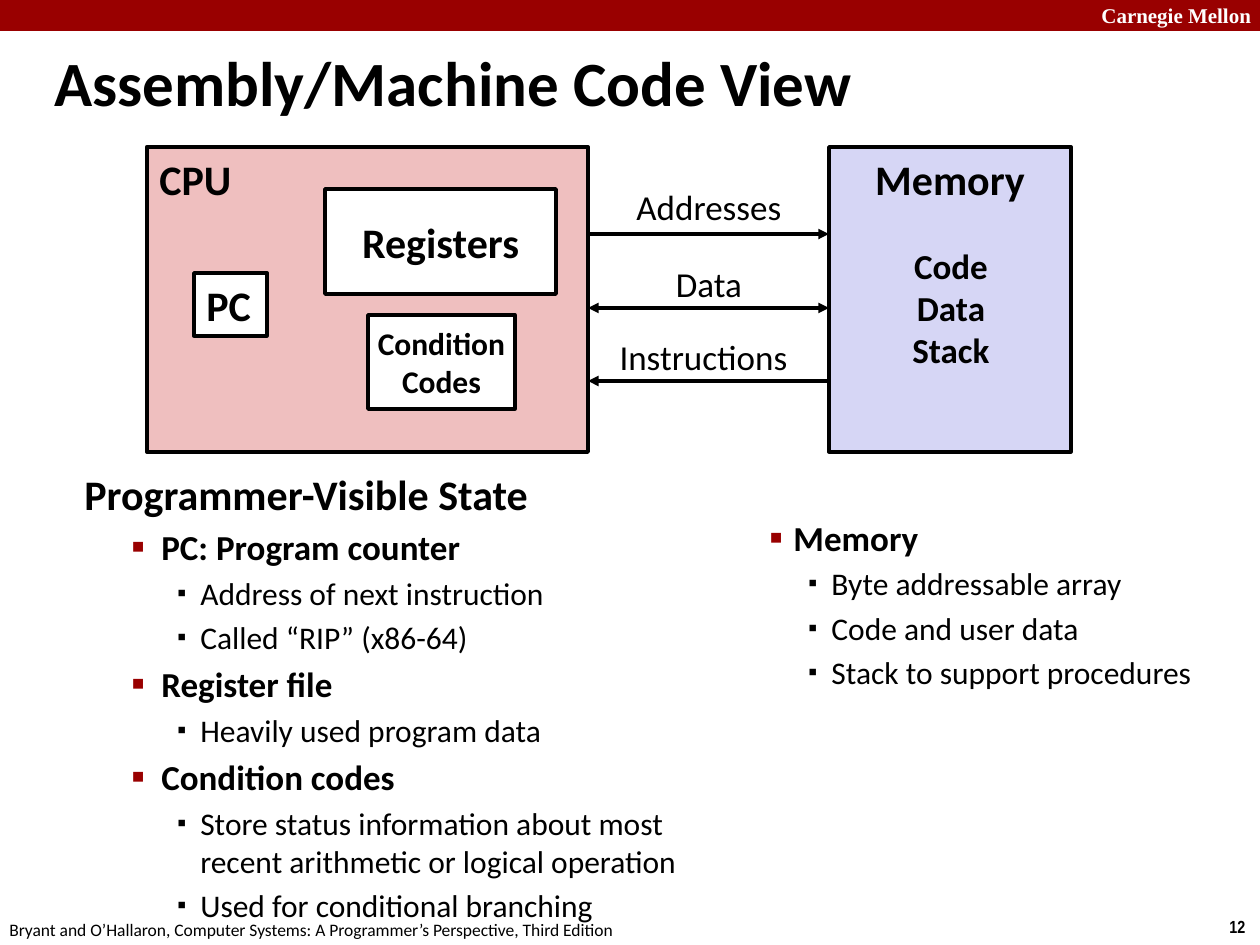
"""Build the slide on the assembly and machine code view of a computer."""
import pptx
import pptx.util
import pptx.dml.color
import pptx.enum.shapes
import pptx.enum.text
import pptx.oxml
import pptx.oxml.ns

HUE = {"ink": "000000", "paper": "FFFFFF", "brand": "990000", "cpu": "EFBFBF", "mem": "D6D6F5"}
FONT = "Calibri"
TITLE = "Assembly/Machine Code View"
BAR = (0, 0, 1260, 31)

BOXES = [
    ("cpu", (147, 147, 441, 305), "cpu", 2.25, ["CPU"], 24, "left", "top"),
    ("pc", (194, 273, 73, 63), "paper", 2, ["PC"], 24, "left", "middle"),
    ("regs", (325, 189, 231, 105), "paper", 2, ["Registers"], 24, "center", "middle"),
    ("mem", (829, 147, 242, 305), "mem", 2, ["Memory"], 24, "center", "top"),
    ("flags", (368, 315, 147, 94), "paper", 2, ["Condition", "Codes"], 18, "center", "middle"),
]
BUSES = [
    ("Addresses", 179, 242, 234, ("tailEnd",)),
    ("Data", 256, 242, 308, ("headEnd", "tailEnd")),
    ("Instructions", 329, 231, 381, ("headEnd",)),
]
NOTES = [
    ("Carnegie Mellon", (1089, -4, 180, 38), "Times New Roman", 12, "paper", True, True),
    ("12", (1217, 910, 43, 34), "Arial Narrow", 10, "ink", True, False),
    ("Bryant and O’Hallaron, Computer Systems: A Programmer’s Perspective, Third Edition",
     (-3, 913, 640, 34), FONT, 10, "ink", False, False),
]
STATE = [
    (0, "Programmer-Visible State"),
    (1, "PC: Program counter"),
    (2, "Address of next instruction"),
    (2, "Called “RIP” (x86-64)"),
    (1, "Register file"),
    (2, "Heavily used program data"),
    (1, "Condition codes"),
    (2, "Store status information about most recent arithmetic or logical operation"),
    (2, "Used for conditional branching"),
]
STORE = [
    (1, "Memory"),
    (2, "Byte addressable array"),
    (2, "Code and user data"),
    (2, "Stack to support procedures"),
]
LISTS = [
    (STATE, (72, 462, 669, 426), {1: (77, 30), 2: (116, 23)}),
    (STORE, (741, 510, 499, 217), {1: (40, 24), 2: (78, 23)}),
]
SIZES = {0: 24, 1: 20, 2: 18}
BULLETS = {1: ("brand", 110), 2: ("ink", 80)}


def px(n):
    return round(n * 914400 / 126)


def rgb(name):
    return pptx.dml.color.RGBColor.from_string(HUE[name])


def node(home, tag, **attrs):
    item = pptx.oxml.ns.qn("a:" + tag)
    child = home.makeelement(item, attrs)
    home.append(child)
    return child


def write(para, text, size, bold=False, font=FONT, hue="ink"):
    run = para.add_run()
    run.text = text
    run.font.name = font
    run.font.size = pptx.util.Pt(size)
    run.font.bold = bold
    run.font.color.rgb = rgb(hue)


def fill(frame, lines, size, align="left", anchor="top", wrap=True, **style):
    frame.word_wrap = wrap
    frame.auto_size = pptx.enum.text.MSO_AUTO_SIZE.NONE
    frame.vertical_anchor = pptx.enum.text.MSO_ANCHOR[anchor.upper()]
    for i, line in enumerate(lines):
        para = frame.add_paragraph() if i else frame.paragraphs[0]
        para.alignment = pptx.enum.text.PP_ALIGN[align.upper()]
        write(para, line, size, **style)


def rect(slide, spot, hue, width=None):
    kind = pptx.enum.shapes.MSO_SHAPE.RECTANGLE
    box = slide.shapes.add_shape(kind, *map(px, spot))
    box.shadow.inherit = False
    box.fill.solid()
    box.fill.fore_color.rgb = rgb(hue)
    if width:
        box.line.color.rgb = rgb("ink")
        box.line.width = pptx.util.Pt(width)
    else:
        box.line.fill.background()
    return box


def label(slide, spot, *args, **style):
    box = slide.shapes.add_textbox(*map(px, spot))
    fill(box.text_frame, *args, **style)


def arrow(slide, start, stop, y, ends):
    kind = pptx.enum.shapes.MSO_CONNECTOR.STRAIGHT
    line = slide.shapes.add_connector(kind, px(start), px(y), px(stop), px(y))
    line.line.color.rgb = rgb("ink")
    line.line.width = pptx.util.Pt(2)
    for end in ends:
        node(line.line._get_or_add_ln(), end, type="triangle")
    node(line._element.spPr, "effectLst")


def outline(slide, items, spot, dents):
    frame = slide.shapes.add_textbox(*map(px, spot)).text_frame
    frame.word_wrap = True
    for i, (level, text) in enumerate(items):
        para = frame.add_paragraph() if i else frame.paragraphs[0]
        para.level = level
        size = SIZES[level]
        if i:
            para.space_before = pptx.util.Pt(size * 0.2)
        if level:
            left, hang = dents[level]
            hue, scale = BULLETS[level]
            props = para._p.get_or_add_pPr()
            props.set("marL", str(px(left)))
            props.set("indent", str(-px(hang)))
            node(node(props, "buClr"), "srgbClr", val=HUE[hue])
            node(props, "buSzPct", val=str(scale * 1000))
            node(props, "buFont", typeface=FONT)
            node(props, "buChar", char="▪")
        write(para, text, size, bold=level < 2)


def main():
    deck = pptx.Presentation()
    deck.slide_width, deck.slide_height = px(1260), px(945)
    slide = deck.slides.add_slide(deck.slide_layouts[5])

    title = slide.shapes.title
    title.left, title.top, title.width, title.height = map(px, (42, 42, 995, 79))
    fill(title.text_frame, [TITLE], 36, anchor="middle", bold=True)

    rect(slide, BAR, "brand")
    for text, spot, font, size, hue, bold, wrap in NOTES:
        label(slide, spot, [text], size, wrap=wrap, bold=bold, font=font, hue=hue)

    spots = {}
    for name, spot, hue, width, lines, size, align, anchor in BOXES:
        box = rect(slide, spot, hue, width)
        fill(box.text_frame, lines, size, align, anchor, wrap=False, bold=True)
        spots[name] = spot
    label(slide, (872, 238, 158, 140), ["Code", "Data", "Stack"], 20, "center", bold=True)

    start = spots["cpu"][0] + spots["cpu"][2]
    stop = spots["mem"][0]
    for text, top, width, y, ends in BUSES:
        arrow(slide, start, stop, y, ends)
        label(slide, (start, top, width, 54), [text], 20, "center")

    for items, spot, dents in LISTS:
        outline(slide, items, spot, dents)
    deck.save("out.pptx")


if __name__ == "__main__":
    main()
